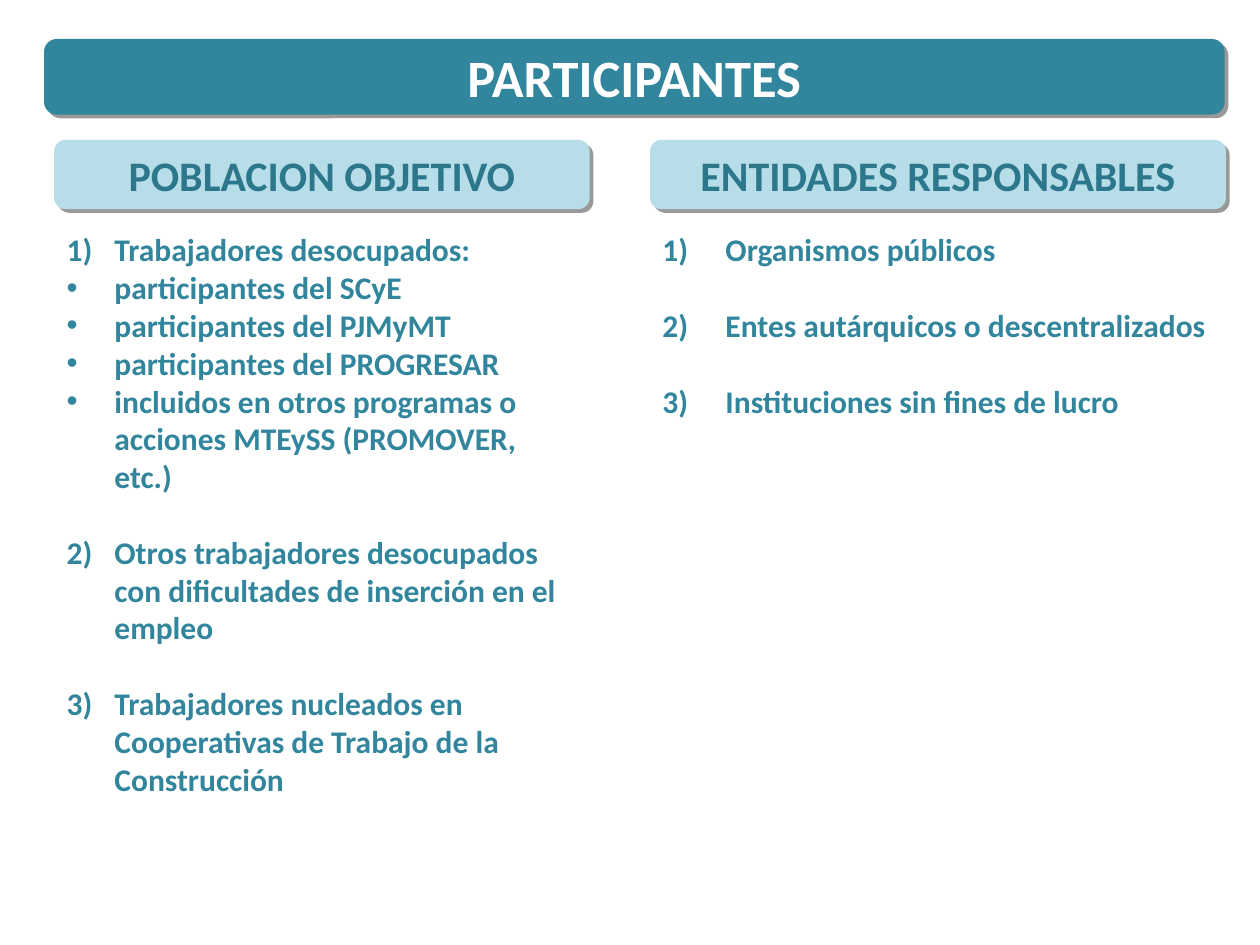
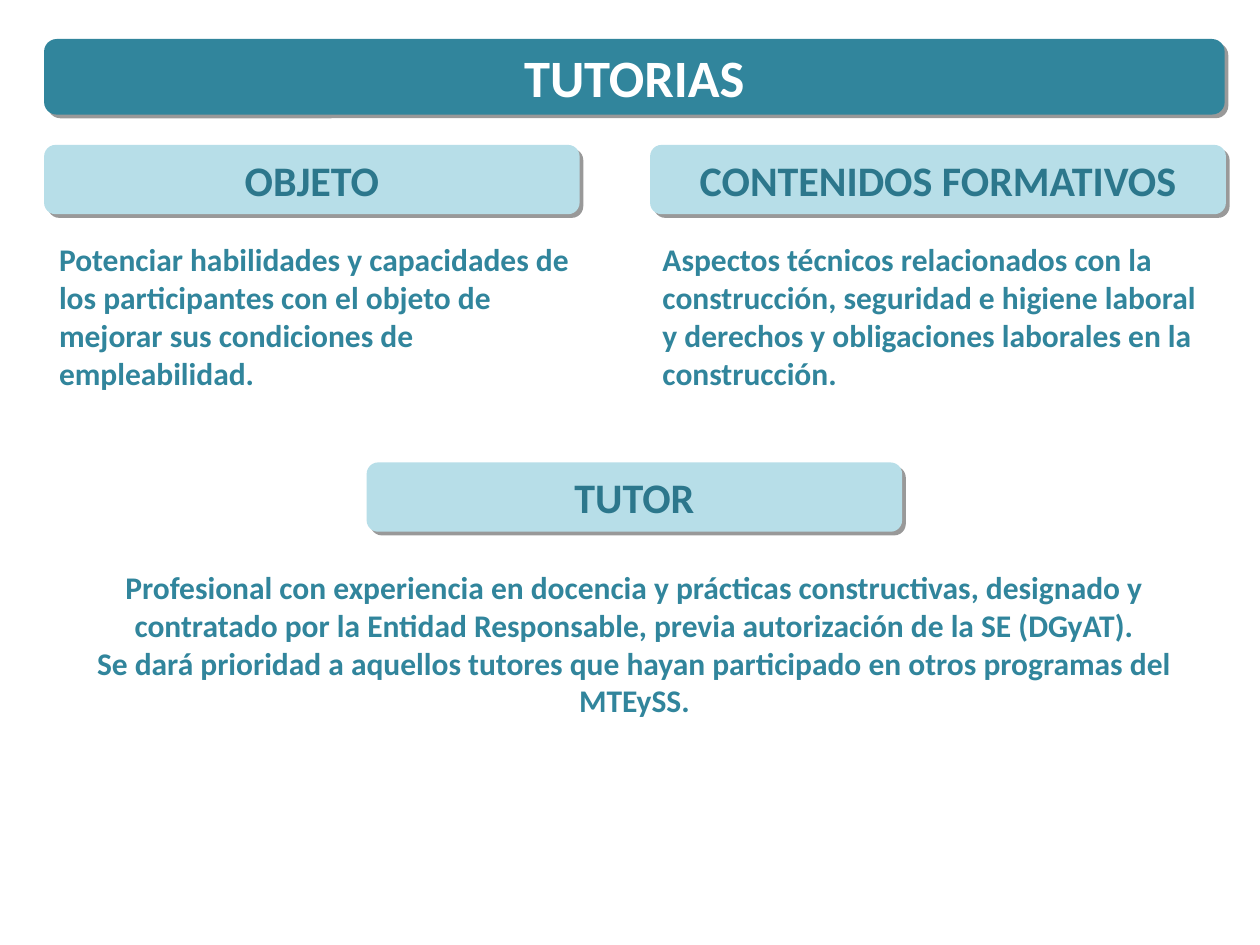
import pptx
import pptx.util
import pptx.dml.color
import pptx.enum.shapes
import pptx.enum.text
import pptx.oxml.ns
from lxml import etree

Inches, Pt = pptx.util.Inches, pptx.util.Pt
RGBColor = pptx.dml.color.RGBColor
Align = pptx.enum.text.PP_ALIGN
Anchor = pptx.enum.text.MSO_ANCHOR
qn = pptx.oxml.ns.qn

# Shared colours and text formats
TEAL = RGBColor(0x31, 0x85, 0x9C)
DARK_TEAL = RGBColor(0x2C, 0x77, 0x8C)
PALE_BLUE = RGBColor(0xB7, 0xDE, 0xE8)
WHITE = RGBColor(0xFF, 0xFF, 0xFF)
BLACK = RGBColor(0, 0, 0)

TITLE_FORMAT = {"size": Pt(30), "color": WHITE}
HEADING_FORMAT = {"size": Pt(24), "color": DARK_TEAL}
BODY_FORMAT = {"size": Pt(18), "color": TEAL}
FONT_BASE = {"name": "Calibri", "bold": True}

# Shared columns
LEFT_EDGE, FULL_WIDTH = 0.35, 9.37
LEFT_WIDTH = 4.25
RIGHT_EDGE, RIGHT_WIDTH = 5.16, 4.57
HEADING_HEIGHT = 0.55
ITEM_GAP = Pt(21.6)


def format_font(font, values):
    for key, value in (FONT_BASE | values).items():
        if key == "color":
            font.color.rgb = value
        else:
            setattr(font, key, value)


def add_element(parent, tag, **attributes):
    element = etree.SubElement(parent, qn(tag))
    for key, value in attributes.items():
        element.set(key, str(value))
    return element


def add_drop_shadow(shape):
    shape.shadow.inherit = False
    effects = shape._element.spPr.find(qn("a:effectLst"))
    shadow = add_element(effects, "a:outerShdw", blurRad=0, dist=Pt(3),
                         dir=45 * 60000, algn="tl", rotWithShape=0)
    color = add_element(shadow, "a:srgbClr", val=BLACK)
    add_element(color, "a:alpha", val=40000)


def add_band(page, text, left, top, width, height, fill, font_format):
    """Rounded band with centred text and a drop shadow."""
    band = page.shapes.add_shape(
        pptx.enum.shapes.MSO_SHAPE.ROUNDED_RECTANGLE,
        Inches(left), Inches(top), Inches(width), Inches(height))
    band.fill.solid()
    band.fill.fore_color.rgb = fill
    band.line.fill.background()
    add_drop_shadow(band)
    band.text_frame.vertical_anchor = Anchor.MIDDLE
    para = band.text_frame.paragraphs[0]
    para.alignment = Align.CENTER
    span = para.add_run()
    span.text = text
    format_font(span.font, font_format)


def add_title(page, text):
    add_band(page, text, LEFT_EDGE, 0.31, FULL_WIDTH, 0.6, TEAL, TITLE_FORMAT)


def add_heading(page, text, left, top, width):
    add_band(page, text, left, top, width, HEADING_HEIGHT, PALE_BLUE, HEADING_FORMAT)


def set_marker(para, number, indent):
    """Number the paragraph, or give it a dot when number is None."""
    properties = para._p.get_or_add_pPr()
    properties.set("marL", str(Inches(indent)))
    properties.set("indent", str(-Inches(indent)))
    color = add_element(properties, "a:buClr")
    add_element(color, "a:srgbClr", val=TEAL)
    if number is None:
        add_element(properties, "a:buFont", typeface="Arial")
        add_element(properties, "a:buChar", char="•")
    else:
        add_element(properties, "a:buFont", typeface="+mj-lt")
        add_element(properties, "a:buAutoNum", type="arabicParenR", startAt=number)


def add_paragraphs(page, texts, left, top, width, height, alignment=Align.LEFT):
    """Text box with one body paragraph per text; returns the paragraphs."""
    box = page.shapes.add_textbox(Inches(left), Inches(top), Inches(width), Inches(height))
    frame = box.text_frame
    frame.word_wrap = True
    frame.auto_size = pptx.enum.text.MSO_AUTO_SIZE.SHAPE_TO_FIT_TEXT
    for index, text in enumerate(texts):
        para = frame.add_paragraph() if index else frame.paragraphs[0]
        para.alignment = alignment
        span = para.add_run()
        span.text = text
        format_font(span.font, BODY_FORMAT)
    return frame.paragraphs


def add_list(page, items, left, top, width, height, indent):
    """List of (number, text) items, with a gap above each later number."""
    texts = [text for number, text in items]
    paragraphs = add_paragraphs(page, texts, left, top, width, height)
    for para, (number, text) in zip(paragraphs, items):
        set_marker(para, number, indent)
        if number and number > 1:
            para.space_before = ITEM_GAP


def build_participants(page):
    left, top, list_top = 0.43, 1.11, 1.78
    add_title(page, "PARTICIPANTES")
    add_heading(page, "POBLACION OBJETIVO", left, top, LEFT_WIDTH)
    add_heading(page, "ENTIDADES RESPONSABLES", RIGHT_EDGE, top, RIGHT_WIDTH)
    target_population = [
        (1, "Trabajadores desocupados:"),
        (None, "participantes del SCyE"),
        (None, "participantes del PJMyMT"),
        (None, "participantes del PROGRESAR"),
        (None, "incluidos en otros programas o acciones MTEySS (PROMOVER, etc.)"),
        (2, "Otros trabajadores desocupados con dificultades de inserción en el empleo"),
        (3, "Trabajadores nucleados en Cooperativas de Trabajo de la Construcción"),
    ]
    responsible_entities = [
        (1, "Organismos públicos"),
        (2, "Entes autárquicos o descentralizados"),
        (3, "Instituciones sin fines de lucro"),
    ]
    add_list(page, target_population, left, list_top, LEFT_WIDTH, 4.6, 0.38)
    add_list(page, responsible_entities, RIGHT_EDGE, list_top, RIGHT_WIDTH, 1.61, 0.5)


def build_tutoring(page):
    top, text_top, text_height = 1.15, 1.86, 1.3
    add_title(page, "TUTORIAS")
    # Purpose and training contents
    add_heading(page, "OBJETO", LEFT_EDGE, top, LEFT_WIDTH)
    add_heading(page, "CONTENIDOS FORMATIVOS", RIGHT_EDGE, top, RIGHT_WIDTH)
    add_paragraphs(page, [
        "Potenciar habilidades y capacidades de los participantes con el objeto de "
        "mejorar sus condiciones de empleabilidad.",
    ], 0.37, text_top, LEFT_WIDTH, text_height)
    add_paragraphs(page, [
        "Aspectos técnicos relacionados con la construcción, seguridad e higiene laboral "
        "y derechos y obligaciones laborales en la construcción.",
    ], RIGHT_EDGE, text_top, RIGHT_WIDTH, text_height)
    # Tutor
    add_heading(page, "TUTOR", 2.91, 3.67, LEFT_WIDTH)
    add_paragraphs(page, [
        "Profesional con experiencia en docencia y prácticas constructivas, designado y "
        "contratado por la Entidad Responsable, previa autorización de la SE (DGyAT).",
        "Se dará prioridad a aquellos tutores que hayan participado en otros programas "
        "del MTEySS.",
    ], LEFT_EDGE, 4.46, FULL_WIDTH, text_height, Align.CENTER)


def main():
    deck = pptx.Presentation()
    deck.slide_width, deck.slide_height = Inches(10), Inches(7.5)
    blank = deck.slide_layouts[6]
    for build in (build_participants, build_tutoring):
        build(deck.slides.add_slide(blank))
    deck.save("out.pptx")


if __name__ == "__main__":
    main()
